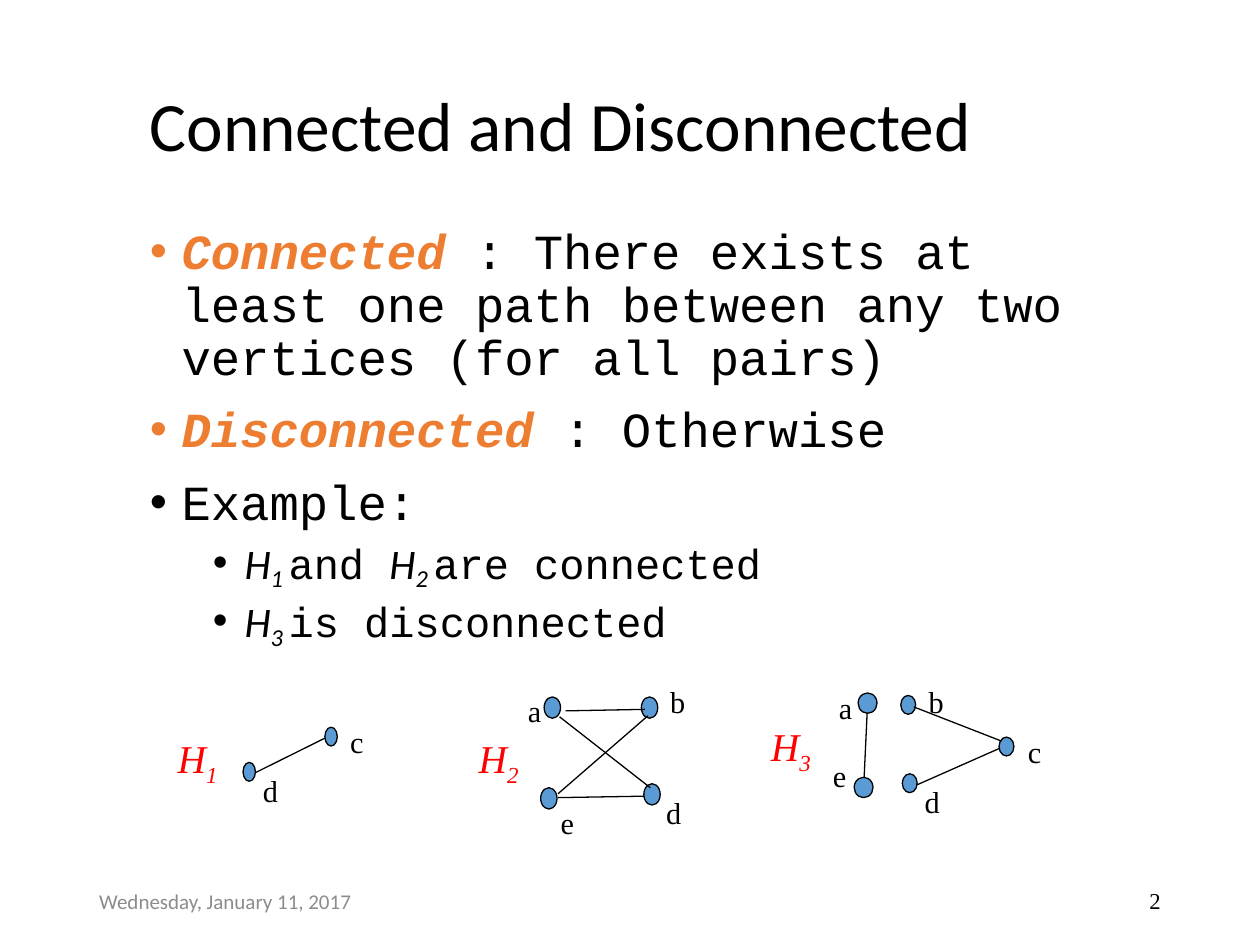
import pptx
import pptx.dml.color
import pptx.enum.shapes
import pptx.enum.text
import pptx.util
from lxml import etree
from pptx.util import Cm

ALIGN = pptx.enum.text.PP_ALIGN
ANCHOR = pptx.enum.text.MSO_ANCHOR
BLACK, ORANGE, RED, BLUE, GREY = "000000", "ED7D31", "FF0000", "5B9BD5", "8C8C8C"
SANS, MONO, SERIF = "Calibri", "Courier New", "Times New Roman"

# Each graph part: node size, node corners, edges (x1, y1, x2, y2), label corners; all in cm
GRAPH_PARTS = [
    # H1
    dict(size=(0.25, 0.38),
         nodes=[(4.9, 15.37), (6.55, 14.66)],
         edges=[(5.16, 15.57, 6.55, 14.88)],
         labels=[("c", 6.81, 14.45), ("d", 5.05, 15.44)]),
    # H2
    dict(size=(0.33, 0.43),
         nodes=[(10.97, 14.05), (10.9, 15.88), (12.93, 14.05), (12.98, 15.8)],
         edges=[(11.25, 16.08, 12.98, 16.05), (11.4, 14.33, 13, 14.3),
                (11.25, 16, 13.06, 14.43), (11.28, 14.45, 13.11, 15.88)],
         labels=[("a", 10.39, 13.84), ("b", 13.26, 13.64),
                 ("d", 13.18, 15.88), ("e", 11.05, 16.08)]),
    # H3, component a-e
    dict(size=(0.38, 0.41),
         nodes=[(17.3, 13.97), (17.22, 15.67)],
         edges=[(17.48, 14.38, 17.42, 15.67)],
         labels=[("a", 16.66, 13.77), ("e", 16.54, 15.14)]),
    # H3, component b-c-d
    dict(size=(0.3, 0.38),
         nodes=[(18.16, 14.02), (18.19, 15.6), (20.14, 14.86)],
         edges=[(18.49, 15.82, 20.14, 15.09), (18.42, 14.25, 20.19, 14.94)],
         labels=[("b", 18.47, 13.64), ("c", 20.47, 14.66), ("d", 18.39, 15.67)]),
]
GRAPH_NAMES = [("1", 3.33, 14.68), ("2", 9.4, 14.68), ("3", 15.29, 14.43)]


def rgb(color):
    return pptx.dml.color.RGBColor.from_string(color)


def add_run(paragraph, text, size, font, color=BLACK, bold=False, italic=False, baseline=0):
    run = paragraph.add_run()
    run.text = text
    run.font.size = pptx.util.Pt(size)
    run.font.name = font
    run.font.color.rgb = rgb(color)
    run.font.bold = bold
    run.font.italic = italic
    if baseline:
        run.font._element.set("baseline", str(baseline * 1000))


def add_text_frame(shapes, left, top, width, height, anchor=ANCHOR.TOP):
    frame = shapes.add_textbox(Cm(left), Cm(top), Cm(width), Cm(height)).text_frame
    frame.word_wrap = True
    frame.vertical_anchor = anchor
    return frame


def add_line_of_text(shapes, box, text, size, font, color=BLACK,
                     align=ALIGN.LEFT, anchor=ANCHOR.MIDDLE):
    paragraph = add_text_frame(shapes, *box, anchor).paragraphs[0]
    paragraph.alignment = align
    add_run(paragraph, text, size, font, color)
    return paragraph


def add_bullet(frame, level, space_before):
    first = frame.paragraphs[0]
    paragraph = first if not first.runs else frame.add_paragraph()
    paragraph.level = level
    paragraph.line_spacing = 0.9
    if paragraph is not first:
        paragraph.space_before = pptx.util.Pt(space_before)
    properties = paragraph._p.get_or_add_pPr()
    properties.set("marL", str(Cm(0.64 + 1.27 * level)))
    properties.set("indent", str(Cm(-0.64)))
    namespace = pptx.oxml.ns.qn
    etree.SubElement(properties, namespace("a:buFont")).set("typeface", "Arial")
    etree.SubElement(properties, namespace("a:buChar")).set("char", "•")
    return paragraph


def add_definition(frame, term, meaning):
    paragraph = add_bullet(frame, 0, 11.2)
    if term:
        add_run(paragraph, term, 28, MONO, ORANGE, bold=True, italic=True)
    add_run(paragraph, meaning, 28, MONO)


def add_example(frame, *parts):
    """Each part is a graph index and the words that follow it."""
    paragraph = add_bullet(frame, 1, 5)
    for index, words in parts:
        add_run(paragraph, "H", 24, SANS, italic=True)
        add_run(paragraph, index + " ", 24, SANS, italic=True, baseline=-20)
        add_run(paragraph, words, 24, MONO)


def add_node(shapes, left, top, size):
    node = shapes.add_shape(pptx.enum.shapes.MSO_SHAPE.OVAL,
                            Cm(left), Cm(top), Cm(size[0]), Cm(size[1]))
    node.shadow.inherit = False
    node.fill.solid()
    node.fill.fore_color.rgb = rgb(BLUE)
    node.line.color.rgb = rgb(BLACK)
    node.line.width = pptx.util.Pt(0.75)


def add_edge(shapes, *ends):
    edge = shapes.add_connector(pptx.enum.shapes.MSO_CONNECTOR.STRAIGHT,
                                *[Cm(value) for value in ends])
    edge.line.color.rgb = rgb(BLACK)
    edge.line.width = pptx.util.Pt(0.75)
    etree.SubElement(edge._element.spPr, pptx.oxml.ns.qn("a:effectLst"))


def add_graph_part(slide, size, nodes, edges, labels):
    shapes = slide.shapes.add_group_shape().shapes
    for left, top in nodes:
        add_node(shapes, left, top, size)
    for edge in edges:
        add_edge(shapes, *edge)
    for letter, left, top in labels:
        add_line_of_text(shapes, (left, top, 0.9, 0.99), letter, 17.3, SERIF,
                         anchor=ANCHOR.TOP)


def add_graph_name(slide, index, left, top):
    paragraph = add_text_frame(slide.shapes, left, top, 2.36, 1.22).paragraphs[0]
    add_run(paragraph, "H", 22.5, SERIF, RED, italic=True)
    add_run(paragraph, index, 22.5, SERIF, RED, italic=True, baseline=-25)


def main():
    presentation = pptx.Presentation()
    presentation.slide_width, presentation.slide_height = Cm(25.4), Cm(19.05)
    slide = presentation.slides.add_slide(presentation.slide_layouts[6])

    # Title
    title = add_line_of_text(slide.shapes, (2.77, 1.35, 19.86, 2.51),
                             "Connected and Disconnected", 39.6, SANS)
    title.line_spacing = 0.9

    # Definitions and examples
    body = add_text_frame(slide.shapes, 2.77, 4.45, 19.86, 12.9)
    add_definition(body, "Connected ",
                   ": There exists at least one path between any two vertices (for all pairs)")
    add_definition(body, "Disconnected ", ": Otherwise")
    add_definition(body, "", "Example:")
    add_example(body, ("1", "and "), ("2", "are connected"))
    add_example(body, ("3", "is disconnected"))

    # Graphs and their names
    for part in GRAPH_PARTS:
        add_graph_part(slide, **part)
    for name in GRAPH_NAMES:
        add_graph_name(slide, *name)

    # Footer
    add_line_of_text(slide.shapes, (1.75, 17.65, 5.72, 1.02),
                     "Wednesday, January 11, 2017", 12, SANS, GREY)
    add_line_of_text(slide.shapes, (17.93, 17.65, 5.72, 1.02), "2", 13, SERIF,
                     align=ALIGN.RIGHT)

    presentation.save("out.pptx")


if __name__ == "__main__":
    main()
